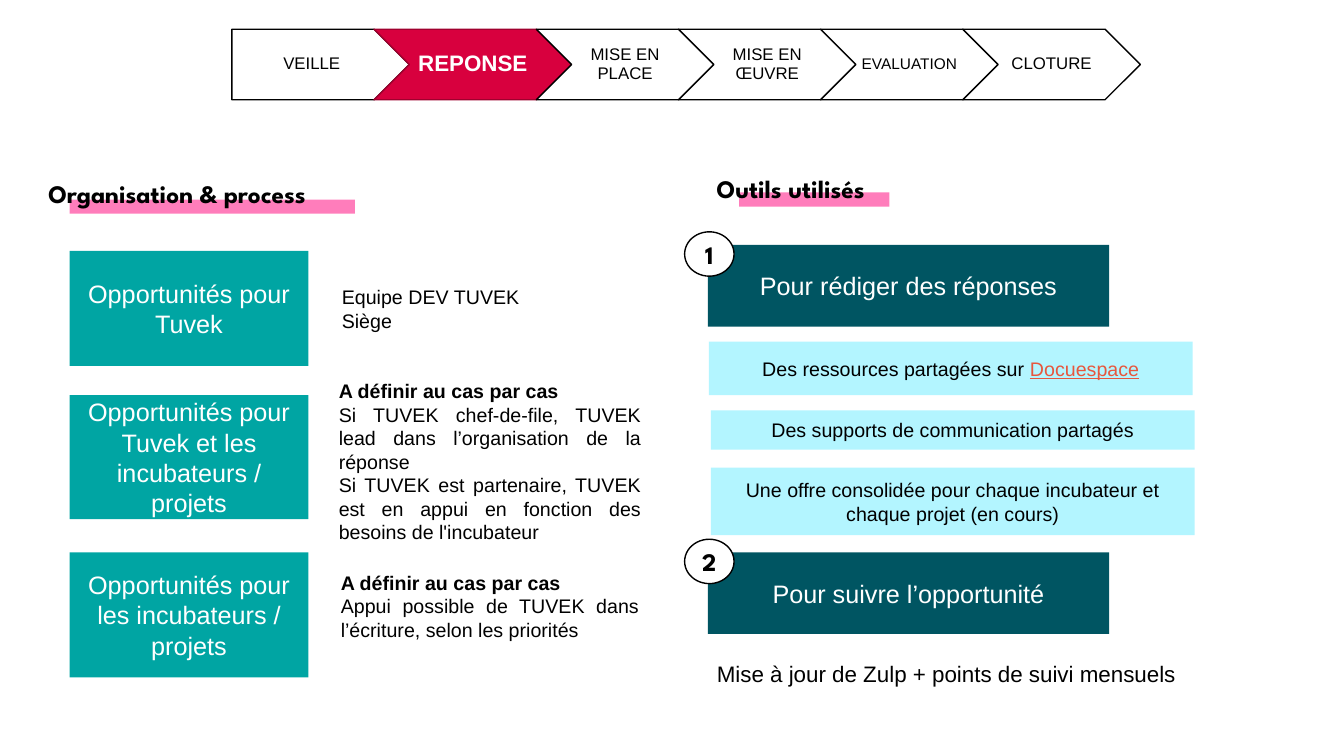
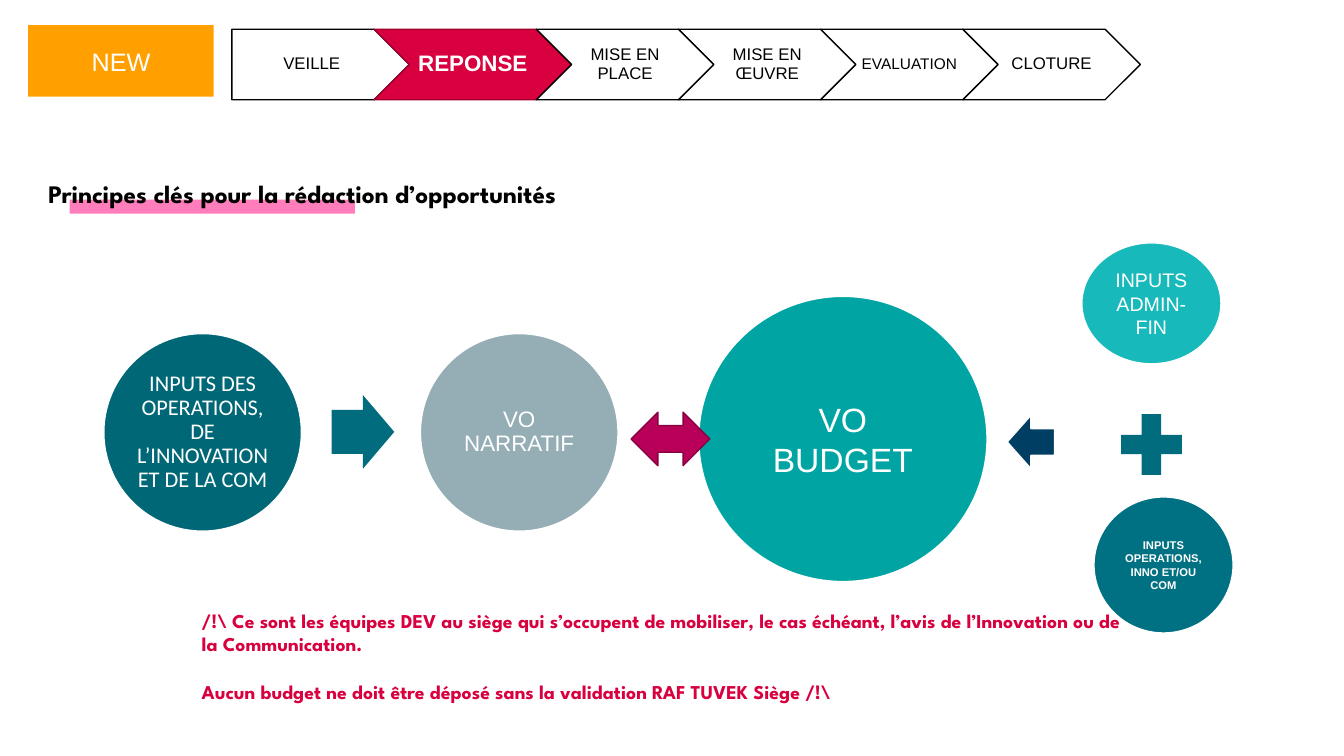
from dataclasses import dataclass
from typing import Optional

from lxml import etree
from pptx import Presentation
from pptx import util as u
from pptx.dml.color import RGBColor
from pptx.enum import shapes, text
from pptx.oxml.ns import qn

GEOMETRY = shapes.MSO_SHAPE
ALIGN = text.PP_ALIGN
ANCHOR = text.MSO_ANCHOR


@dataclass(frozen=True)
class Theme:
    white: str = "FFFFFF"
    black: str = "000000"
    crimson: str = "D8003E"
    crimson_edge: str = "A0002E"
    pink: str = "FF7DBB"
    teal: str = "00A5A3"
    dark_teal: str = "005562"
    ice: str = "B3F5FF"
    link: str = "E7573E"
    orange: str = "FFA000"
    ocean: str = "006777"
    arrow_teal: str = "006C7D"
    grey: str = "95ADB5"
    turquoise: str = "17B9BB"
    lagoon: str = "007183"
    navy: str = "003F63"
    magenta: str = "B80058"
    magenta_edge: str = "880041"
    font: str = "Arial"
    heading_font: str = "League Spartan"
    round_font: str = "Calibri"
    tiny: int = 8
    compact: int = 11
    step: int = 12
    body: int = 14
    strong: int = 16
    heading: int = 18
    large: int = 24


THEME = Theme()


@dataclass(frozen=True)
class Box:
    left: float
    top: float
    width: float
    height: float


@dataclass(frozen=True)
class Style:
    size: int = THEME.heading
    color: str = THEME.white
    font: str = THEME.font
    bold: bool = False
    align: ALIGN = ALIGN.CENTER
    anchor: ANCHOR = ANCHOR.MIDDLE
    spacing: float = 1.0
    inset: Optional[float] = None
    gap: int = 0
    bold_lead: bool = False
    wrap: bool = True


@dataclass(frozen=True)
class Block:
    box: Box
    fill: str
    words: str = ""
    style: Style = Style()
    geometry: GEOMETRY = GEOMETRY.RECTANGLE
    line: Optional[str] = None
    adjustments: tuple[float, ...] = ()


@dataclass(frozen=True)
class Step:
    words: str
    size: int = THEME.step
    active: bool = False


@dataclass(frozen=True)
class Passage:
    box: Box
    words: str
    style: Style


HEADING = Style(font=THEME.heading_font, color=THEME.black, bold=True,
                align=ALIGN.LEFT, anchor=ANCHOR.TOP, wrap=False)
BADGE = Style(font=THEME.heading_font, color=THEME.black, bold=True)
RESOURCE = Style(THEME.body, THEME.black)
NOTE = Style(THEME.body, THEME.black, align=ALIGN.LEFT, anchor=ANCHOR.TOP)
CASE = Style(THEME.body, THEME.black, align=ALIGN.JUSTIFY,
             anchor=ANCHOR.TOP, bold_lead=True)
FOLLOW_UP = Style(THEME.strong, THEME.black, align=ALIGN.LEFT, anchor=ANCHOR.TOP)
WARNING = Style(THEME.body, THEME.crimson, THEME.heading_font, True,
                ALIGN.LEFT, ANCHOR.TOP, gap=17)

STEPS = (Step("VEILLE"), Step("REPONSE", THEME.strong, True),
         Step("MISE EN PLACE"), Step("MISE EN ŒUVRE"),
         Step("EVALUATION", THEME.compact), Step("CLOTURE"))

AUDIENCES = (
    Block(Box(0.69, 2.49, 2.37, 1.14), THEME.teal, "Opportunités pour Tuvek"),
    Block(Box(0.69, 3.92, 2.37, 1.23), THEME.teal,
          "Opportunités pour Tuvek et les incubateurs / projets"),
    Block(Box(0.69, 5.48, 2.37, 1.24), THEME.teal,
          "Opportunités pour les incubateurs / projets"),
)

RESOURCES = (
    Block(Box(7.03, 3.39, 4.8, 0.53), THEME.ice, "Des ressources partagées sur ", RESOURCE),
    Block(Box(7.05, 4.07, 4.8, 0.39), THEME.ice,
          "Des supports de communication partagés", RESOURCE),
    Block(Box(7.05, 4.64, 4.8, 0.67), THEME.ice,
          "Une offre consolidée pour chaque incubateur et chaque projet (en cours)", RESOURCE),
)

PASSAGES = (
    Passage(Box(3.29, 2.78, 2.32, 0.81), "Equipe DEV TUVEK Siège", NOTE),
    Passage(Box(3.26, 3.71, 3.2, 2.22),
            "A définir au cas par cas\n"
            "Si TUVEK chef-de-file, TUVEK lead dans l’organisation de la réponse\n"
            "Si TUVEK est partenaire, TUVEK est en appui en fonction des besoins de l'incubateur",
            CASE),
    Passage(Box(3.28, 5.61, 3.16, 1.04),
            "A définir au cas par cas\n"
            "Appui possible de TUVEK dans l’écriture, selon les priorités", CASE),
    Passage(Box(7.01, 6.5, 5.44, 0.37),
            "Mise à jour de Zulp + points de suivi mensuels", FOLLOW_UP),
)

ALERT = Passage(
    Box(1.9, 5.99, 9.39, 1.04),
    "/!\\ Ce sont les équipes DEV au siège qui s’occupent de mobiliser, le cas échéant, "
    "l’avis de l’Innovation ou de la Communication.\n"
    "Aucun budget ne doit être déposé sans la validation RAF TUVEK Siège /!\\", WARNING)


def circle(box: Box, fill: str, words: str, style: Style) -> Block:
    return Block(box, fill, words, style, GEOMETRY.OVAL, THEME.white)


CONTRIBUTIONS = (
    circle(Box(1.03, 3.31, 1.96, 1.96), THEME.ocean,
           "INPUTS DES OPERATIONS, DE L’INNOVATION ET DE LA COM",
           Style(THEME.strong, font=THEME.round_font, spacing=0.9, inset=0.02)),
    Block(Box(3.29, 3.92, 0.62, 0.73), THEME.arrow_teal,
          geometry=GEOMETRY.RIGHT_ARROW, adjustments=(0.6, 0.5)),
    circle(Box(4.17, 3.31, 1.96, 1.96), THEME.grey, "VO NARRATIF",
           Style(THEME.strong, spacing=0.9, inset=0.02)),
    circle(Box(6.93, 2.94, 2.86, 2.83), THEME.teal, "VO\nBUDGET", Style(THEME.large)),
    circle(Box(10.73, 2.41, 1.38, 1.2), THEME.turquoise, "INPUTS ADMIN-FIN",
           Style(THEME.body)),
    Block(Box(9.99, 4.12, 0.47, 0.53), THEME.navy,
          geometry=GEOMETRY.LEFT_ARROW, line=THEME.white),
    Block(Box(6.26, 4.09, 0.78, 0.53), THEME.magenta,
          geometry=GEOMETRY.LEFT_RIGHT_ARROW, line=THEME.magenta_edge),
    Block(Box(11.01, 4, 0.82, 0.82), THEME.arrow_teal, geometry=GEOMETRY.MATH_PLUS),
    circle(Box(10.85, 4.93, 1.38, 1.35), THEME.lagoon,
           "INPUTS OPERATIONS, INNO ET/OU COM", Style(THEME.tiny, bold=True)),
    Block(Box(0.28, 0.25, 1.84, 0.71), THEME.orange, "NEW"),
)


def lengths(box: Box) -> tuple:
    return tuple(u.Inches(side) for side in (box.left, box.top, box.width, box.height))


def format_run(run, style: Style, bold: bool) -> None:
    run.font.size = u.Pt(style.size)
    run.font.name = style.font
    run.font.bold = bold
    run.font.color.rgb = RGBColor.from_string(style.color)


def write(frame, words: str, style: Style) -> None:
    frame.text = words
    frame.word_wrap = style.wrap
    frame.auto_size = text.MSO_AUTO_SIZE.NONE
    frame.vertical_anchor = style.anchor
    if style.inset is not None:
        frame.margin_left = frame.margin_right = u.Inches(style.inset)
        frame.margin_top = frame.margin_bottom = u.Inches(style.inset)
    for index, paragraph in enumerate(frame.paragraphs):
        paragraph.alignment = style.align
        paragraph.line_spacing = style.spacing
        paragraph.space_before = u.Pt(style.gap if index else 0)
        paragraph.space_after = u.Pt(0)
        for run in paragraph.runs:
            format_run(run, style, style.bold or (style.bold_lead and index == 0))


def draw(slide, block: Block):
    shape = slide.shapes.add_shape(block.geometry, *lengths(block.box))
    shape.shadow.inherit = False
    shape.fill.solid()
    shape.fill.fore_color.rgb = RGBColor.from_string(block.fill)
    if block.line:
        shape.line.color.rgb = RGBColor.from_string(block.line)
        shape.line.width = u.Pt(1)
    else:
        shape.line.fill.background()
    for index, value in enumerate(block.adjustments):
        shape.adjustments[index] = value
    if block.words:
        write(shape.text_frame, block.words, block.style)
    return shape


def fill_placeholder(slide, holder, passage: Passage) -> None:
    holder.left, holder.top, holder.width, holder.height = lengths(passage.box)
    write(holder.text_frame, passage.words, passage.style)
    for paragraph in holder.text_frame.paragraphs:
        properties = paragraph._p.get_or_add_pPr()
        properties.set("marL", "0")
        properties.set("indent", "0")
        etree.SubElement(properties, qn("a:buNone"))
    slide.shapes._spTree.append(holder._element)


def draw_steps(slide) -> None:
    left, overlap = 2.3, 0.35
    for index, step in enumerate(STEPS):
        width = 1.96 if step.active else 1.76
        draw(slide, Block(
            Box(left, 0.29, width, 0.7),
            THEME.crimson if step.active else THEME.white,
            step.words,
            Style(step.size, THEME.white if step.active else THEME.black,
                  bold=step.active, spacing=0.9, inset=0.03),
            GEOMETRY.CHEVRON if index else GEOMETRY.PENTAGON,
            THEME.crimson_edge if step.active else THEME.black))
        left += width - overlap


def start_slide(deck, layout: int, title: str, title_width: float):
    slide = deck.slides.add_slide(deck.slide_layouts[layout])
    draw(slide, Block(Box(0.69, 1.98, 2.83, 0.14), THEME.pink))
    draw_steps(slide)
    fill_placeholder(slide, slide.shapes.title,
                     Passage(Box(0.38, 1.72, title_width, 0.4), title, HEADING))
    return slide


def draw_tool(slide, number: str, words: str, top: float) -> None:
    draw(slide, Block(Box(7.02, top, 3.98, 0.81), THEME.dark_teal, words))
    draw(slide, Block(Box(6.79, top - 0.13, 0.49, 0.44), THEME.white, number,
                      BADGE, GEOMETRY.OVAL, THEME.black))


def build_organisation(deck) -> None:
    slide = start_slide(deck, 4, "Organisation & process", 3.03)
    for audience in AUDIENCES:
        draw(slide, audience)
    draw(slide, Block(Box(7.33, 1.91, 1.49, 0.14), THEME.pink))
    tools_heading = slide.shapes.add_textbox(*lengths(Box(7.01, 1.67, 1.82, 0.4)))
    write(tools_heading.text_frame, "Outils utilisés", HEADING)
    draw_tool(slide, "1", "Pour rédiger des réponses", 2.43)
    draw_tool(slide, "2", "Pour suivre l’opportunité", 5.48)
    shared, *_ = [draw(slide, resource) for resource in RESOURCES]
    library = shared.text_frame.paragraphs[0].add_run()
    library.text = "Docuespace"
    format_run(library, Style(THEME.body, THEME.link), False)
    library.font.underline = True
    bodies = [holder for holder in slide.placeholders if holder.placeholder_format.idx]
    for holder, passage in zip(bodies, PASSAGES):
        fill_placeholder(slide, holder, passage)


def build_principles(deck) -> None:
    slide = start_slide(deck, 1, "Principes clés pour la rédaction d’opportunités", 5.87)
    for contribution in CONTRIBUTIONS:
        draw(slide, contribution)
    fill_placeholder(slide, slide.placeholders[1], ALERT)


def main() -> None:
    deck = Presentation()
    deck.slide_width, deck.slide_height = u.Inches(13.33), u.Inches(7.5)
    build_organisation(deck)
    build_principles(deck)
    deck.save("out.pptx")


if __name__ == "__main__":
    main()
